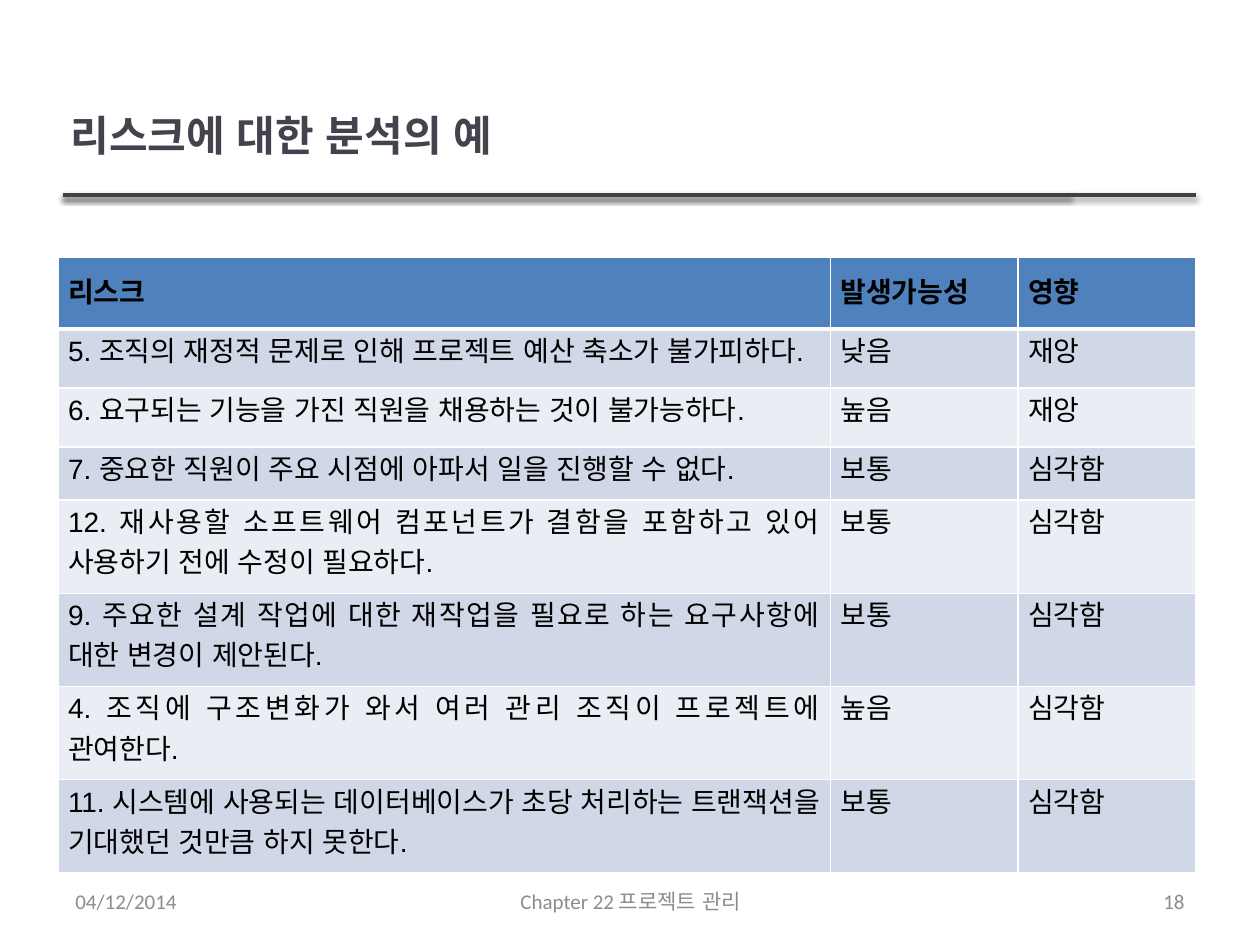
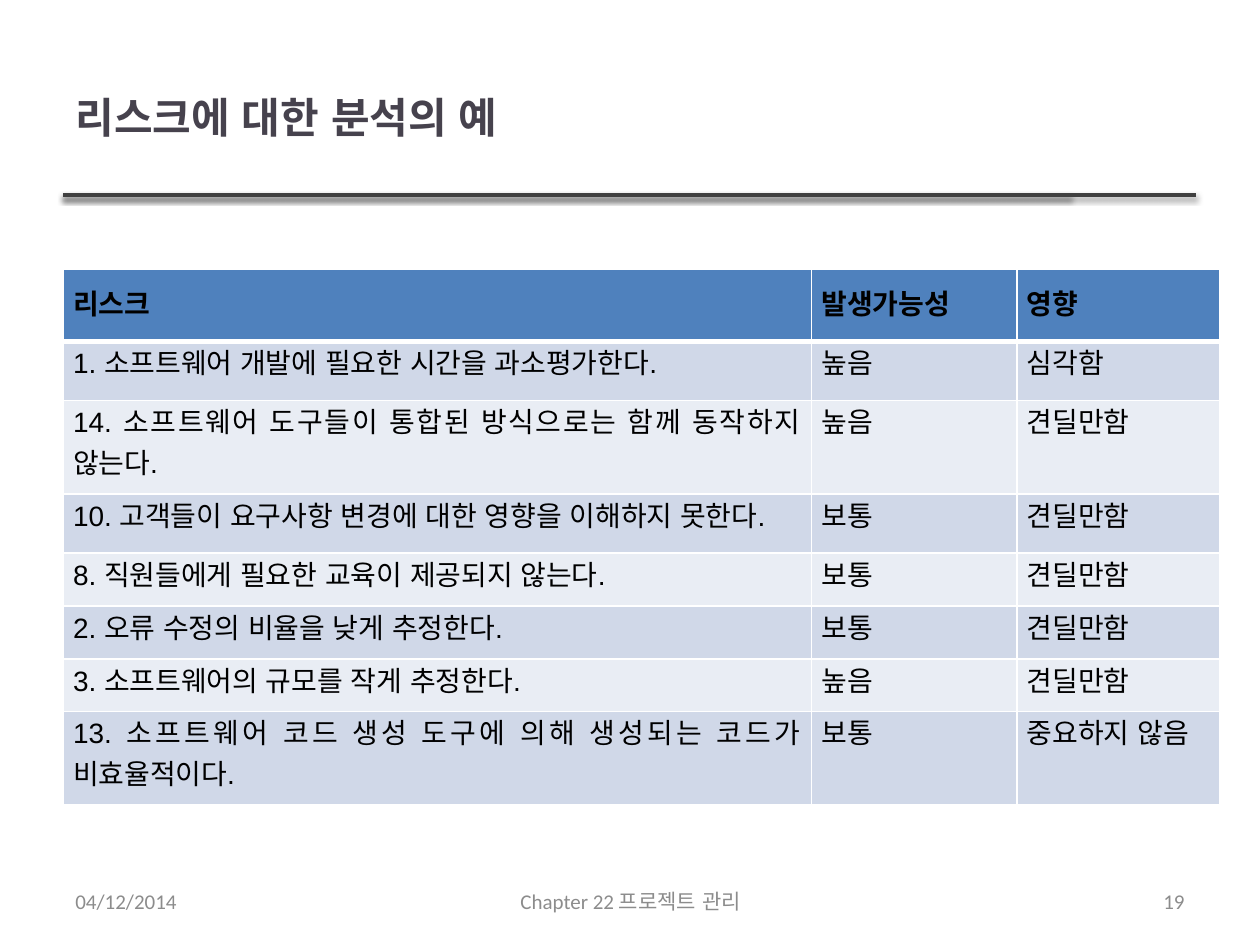
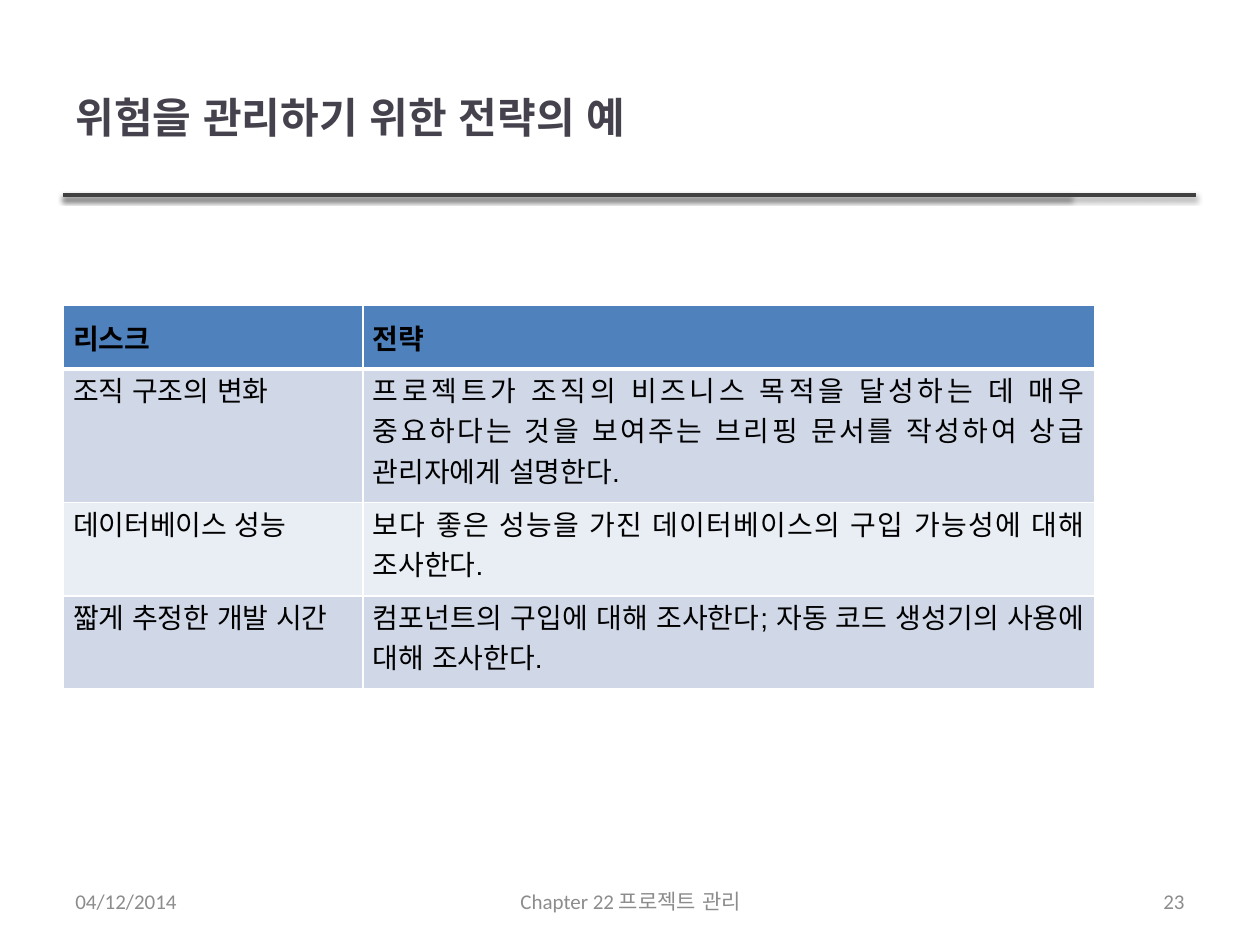
from dataclasses import dataclass

from lxml import etree
from pptx import Presentation
from pptx.dml.color import RGBColor
from pptx.enum.lang import MSO_LANGUAGE_ID as Language
from pptx.enum.shapes import MSO_CONNECTOR as Connector
from pptx.enum.text import MSO_ANCHOR as Anchor, PP_ALIGN as Align
from pptx.oxml import parse_xml
from pptx.oxml.ns import nsdecls, qn
from pptx.util import Inches, Pt


@dataclass(frozen=True)
class Theme:
    """Colours, fonts and type sizes of the deck."""

    title: str = "46424D"
    text: str = "000000"
    muted: str = "8C8C8C"
    rule: str = "404040"
    border: str = "FFFFFF"
    header: str = "4F81BD"
    bands: tuple = ("D0D8E8", "E9EDF4")
    body_font: str = "Arial"
    footer_font: str = "Calibri"
    title_size: int = 24
    table_size: int = 16
    footer_size: int = 12
    thin: int = 1
    thick: int = 3


def write_text(frame, text, *, size, font, color, bold=False, align=Align.LEFT, anchor=Anchor.MIDDLE):
    """Write one formatted paragraph into a text frame."""
    frame.word_wrap = True
    frame.vertical_anchor = anchor
    paragraph = frame.paragraphs[0]
    paragraph.alignment = align
    run = paragraph.add_run()
    run.text = text
    run.font.size = Pt(size)
    run.font.name = font
    run.font.bold = bold
    run.font.color.rgb = RGBColor.from_string(color)
    run.font.language_id = Language.KOREAN


class Deck:
    """Holds the theme and the current slide, and draws each kind of element."""

    def __init__(self, theme):
        """Start an empty deck."""
        self.theme = theme
        self.presentation = Presentation()
        self.presentation.slide_width = Inches(10)
        self.presentation.slide_height = Inches(7.5)
        self.slide = None

    def add_slide(self, title, title_box, number):
        """Add a slide with its title, rules and footers."""
        self.slide = self.presentation.slides.add_slide(self.presentation.slide_layouts[5])
        for rule_end in (8.49, 9.49):
            self.add_rule(0.5, rule_end, 1.55)
        self.add_title(title, title_box)
        self.add_footer("04/12/2014", 0.5, 2.33, Align.LEFT)
        self.add_footer("Chapter 22 프로젝트 관리", 3.42, 3.17, Align.CENTER)
        self.add_footer(str(number), 7.17, 2.33, Align.RIGHT)

    def add_title(self, text, box):
        """Place and format the title placeholder."""
        theme = self.theme
        shape = self.slide.shapes.title
        shape.left, shape.top, shape.width, shape.height = map(Inches, box)
        write_text(shape.text_frame, text, size=theme.title_size, font=theme.body_font,
                   color=theme.title, bold=True)

    def add_rule(self, start, end, top):
        """Draw a horizontal rule with a soft shadow."""
        connector = self.slide.shapes.add_connector(
            Connector.STRAIGHT, Inches(start), Inches(top), Inches(end), Inches(top))
        connector.line.color.rgb = RGBColor.from_string(self.theme.rule)
        connector.line.width = Pt(2.25)
        connector.element.spPr.append(parse_xml(
            f'<a:effectLst {nsdecls("a")}>'
            f'<a:outerShdw blurRad="{Pt(3.1)}" dist="{Pt(1.6)}" dir="5400000" rotWithShape="0">'
            '<a:srgbClr val="000000"><a:alpha val="38000"/></a:srgbClr>'
            '</a:outerShdw></a:effectLst>'))

    def add_footer(self, text, left, width, align):
        """Add one footer text."""
        theme = self.theme
        shape = self.slide.shapes.add_textbox(Inches(left), Inches(6.95), Inches(width), Inches(0.4))
        write_text(shape.text_frame, text, size=theme.footer_size, font=theme.footer_font,
                   color=theme.muted, align=align)

    def add_table(self, left, top, widths, heights, rows, first_align=Align.JUSTIFY):
        """Add a table with a header row and banded body rows."""
        shape = self.slide.shapes.add_table(
            len(rows), len(widths), Inches(left), Inches(top),
            Inches(sum(widths)), Inches(sum(heights)))
        table = shape.table
        for column, width in zip(table.columns, widths):
            column.width = Inches(width)
        for row, height in zip(table.rows, heights):
            row.height = Inches(height)
        for row_index, row in enumerate(rows):
            for column_index, text in enumerate(row):
                body_first = row_index > 0 and column_index == 0
                self.format_cell(table.cell(row_index, column_index), text, row_index,
                                 first_align if body_first else Align.JUSTIFY)

    def format_cell(self, cell, text, row_index, align):
        """Write one table cell with its margins, borders and fill."""
        theme = self.theme
        is_header = row_index == 0
        cell.margin_left = cell.margin_right = Inches(0.08)
        cell.margin_top = Inches(0.1 if is_header else 0)
        cell.margin_bottom = Inches(0.1)
        write_text(cell.text_frame, text, size=theme.table_size, font=theme.body_font,
                   color=theme.text, bold=is_header, align=align, anchor=Anchor.TOP)
        self.add_border(cell, "L", theme.thin)
        self.add_border(cell, "R", theme.thin)
        self.add_border(cell, "T", theme.thick if row_index == 1 else theme.thin)
        self.add_border(cell, "B", theme.thick if is_header else theme.thin)
        cell.fill.solid()
        color = theme.header if is_header else theme.bands[(row_index - 1) % 2]
        cell.fill.fore_color.rgb = RGBColor.from_string(color)

    def add_border(self, cell, side, width):
        """Draw one border of a table cell."""
        properties = cell._tc.get_or_add_tcPr()
        line = etree.SubElement(properties, qn(f"a:ln{side}"), w=str(Pt(width)))
        fill = etree.SubElement(line, qn("a:solidFill"))
        etree.SubElement(fill, qn("a:srgbClr"), val=self.theme.border)


TITLE_BOX = (0.5, 0.3, 7.98, 1.25)
HEADER_ROW, LOOSE_ROW, ONE_LINE, TWO_LINES, THREE_LINES = 0.57, 0.47, 0.42, 0.74, 1.06
RISK_HEADER = ("리스크", "발생가능성", "영향")
SERIOUS_RISKS = (
    RISK_HEADER,
    ("5. 조직의 재정적 문제로 인해 프로젝트 예산 축소가 불가피하다.", "낮음", "재앙"),
    ("6. 요구되는 기능을 가진 직원을 채용하는 것이 불가능하다.", "높음", "재앙"),
    ("7. 중요한 직원이 주요 시점에 아파서 일을 진행할 수 없다.", "보통", "심각함"),
    ("12. 재사용할 소프트웨어 컴포넌트가 결함을 포함하고 있어 사용하기 전에 수정이 필요하다.", "보통", "심각함"),
    ("9. 주요한 설계 작업에 대한 재작업을 필요로 하는 요구사항에 대한 변경이 제안된다.", "보통", "심각함"),
    ("4. 조직에 구조변화가 와서 여러 관리 조직이 프로젝트에 관여한다.", "높음", "심각함"),
    ("11. 시스템에 사용되는 데이터베이스가 초당 처리하는 트랜잭션을 기대했던 것만큼 하지 못한다.", "보통", "심각함"),
)
TOLERABLE_RISKS = (
    RISK_HEADER,
    ("1. 소프트웨어 개발에 필요한 시간을 과소평가한다.", "높음", "심각함"),
    ("14. 소프트웨어 도구들이 통합된 방식으로는 함께 동작하지 않는다.", "높음", "견딜만함"),
    ("10. 고객들이 요구사항 변경에 대한 영향을 이해하지 못한다.", "보통", "견딜만함"),
    ("8. 직원들에게 필요한 교육이 제공되지 않는다.", "보통", "견딜만함"),
    ("2. 오류 수정의 비율을 낮게 추정한다.", "보통", "견딜만함"),
    ("3. 소프트웨어의 규모를 작게 추정한다.", "높음", "견딜만함"),
    ("13. 소프트웨어 코드 생성 도구에 의해 생성되는 코드가 비효율적이다.", "보통", "중요하지 않음"),
)
STRATEGIES = (
    ("리스크", "전략"),
    ("조직 구조의 변화",
     "프로젝트가 조직의 비즈니스 목적을 달성하는 데 매우 중요하다는 것을 보여주는 브리핑 문서를 작성하여 상급 관리자에게 설명한다."),
    ("데이터베이스 성능", "보다 좋은 성능을 가진 데이터베이스의 구입 가능성에 대해 조사한다."),
    ("짧게 추정한 개발 시간", "컴포넌트의 구입에 대해 조사한다; 자동 코드 생성기의 사용에 대해 조사한다."),
)


def main():
    """Build the three slides and save them."""
    deck = Deck(Theme())
    deck.add_slide("리스크에 대한 분석의 예", (0.46, 0.49, 7.63, 1.15), 18)
    deck.add_table(0.46, 2.04, (6.13, 1.49, 1.41),
                   (HEADER_ROW, LOOSE_ROW, LOOSE_ROW, ONE_LINE) + (TWO_LINES,) * 4, SERIOUS_RISKS)
    deck.add_slide("리스크에 대한 분석의 예", TITLE_BOX, 19)
    deck.add_table(0.5, 2.14, (5.94, 1.63, 1.61),
                   (HEADER_ROW, LOOSE_ROW, TWO_LINES, LOOSE_ROW) + (ONE_LINE,) * 3 + (TWO_LINES,),
                   TOLERABLE_RISKS)
    deck.add_slide("위험을 관리하기 위한 전략의 예", TITLE_BOX, 23)
    deck.add_table(0.5, 2.42, (2.38, 5.81), (0.51, THREE_LINES, TWO_LINES, TWO_LINES),
                   STRATEGIES, first_align=Align.LEFT)
    deck.presentation.save("out.pptx")


if __name__ == "__main__":
    main()
